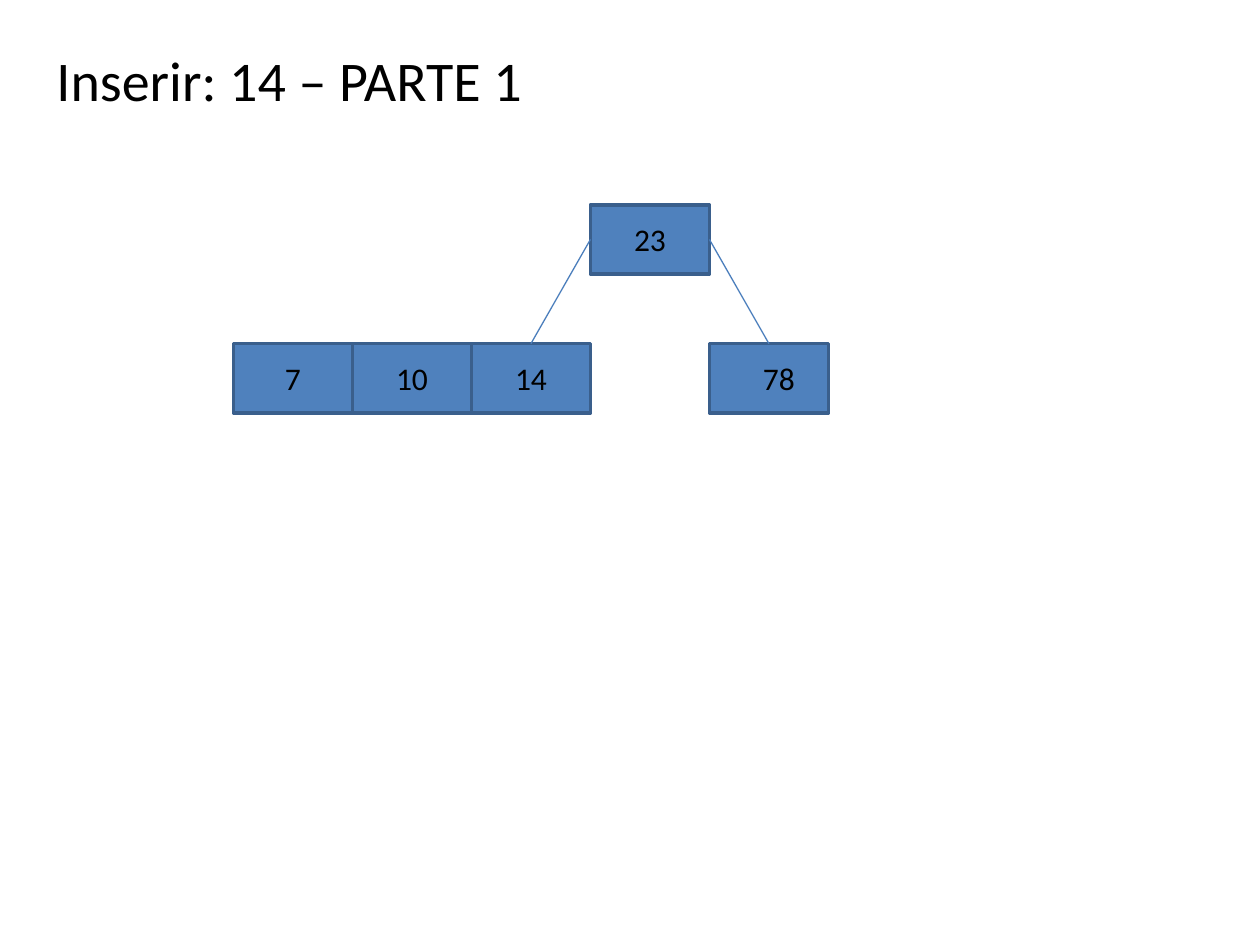
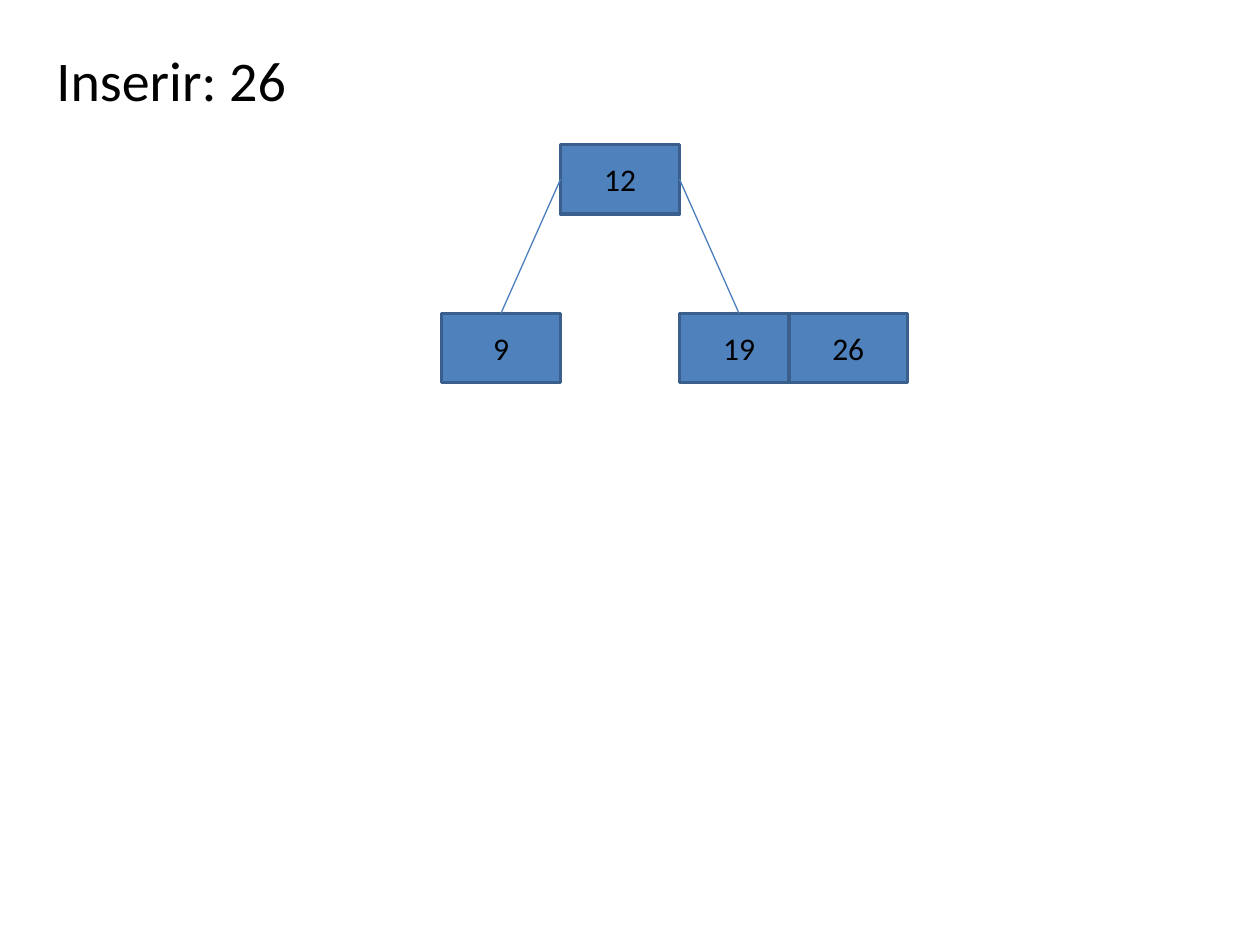
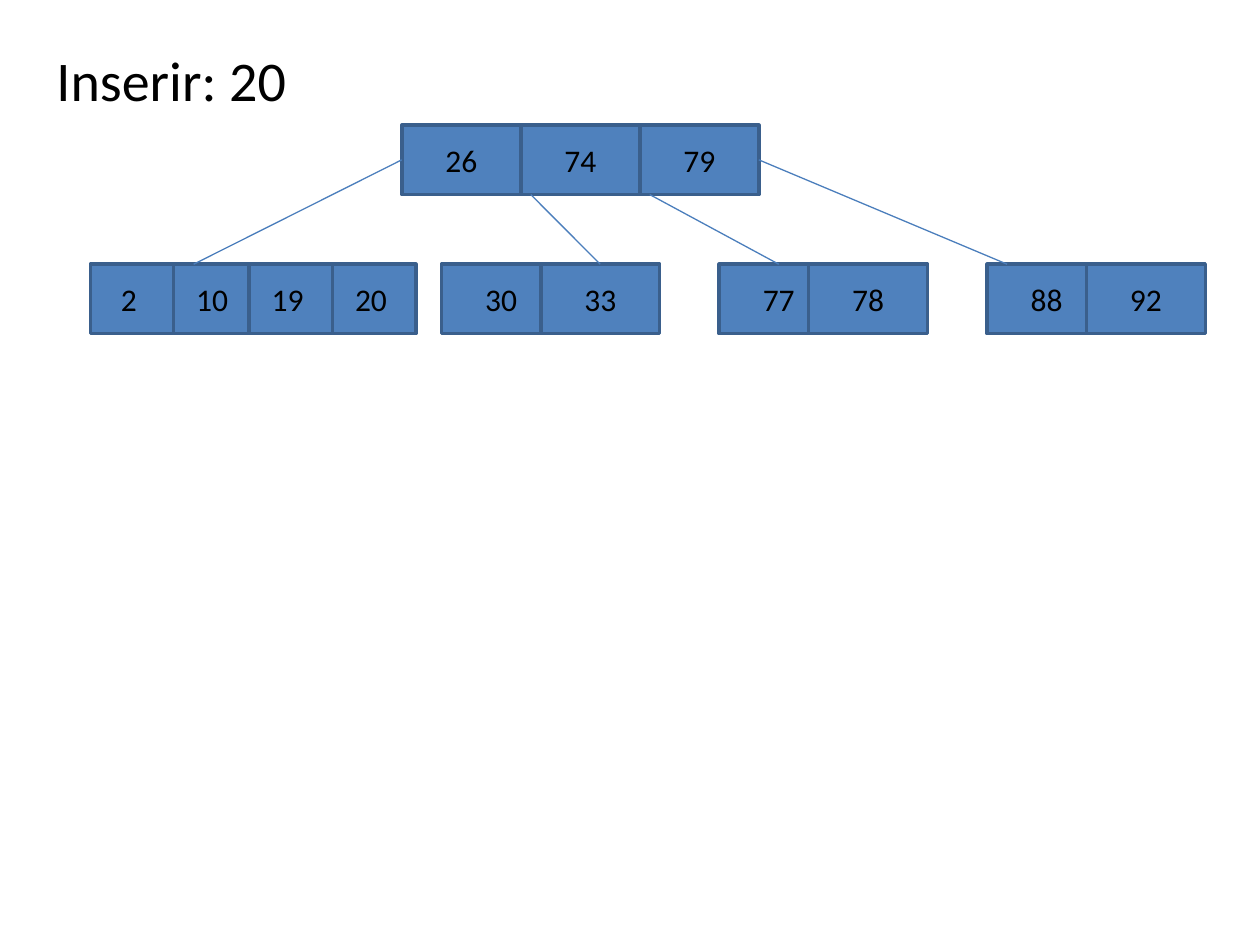
from pptx import Presentation
from pptx.dml.color import RGBColor
from pptx.enum.shapes import MSO_CONNECTOR as Connector, MSO_SHAPE as Shape
from pptx.enum.text import MSO_AUTO_SIZE as AutoSize, PP_ALIGN as Align
from pptx.oxml.ns import qn
from pptx.util import Pt

BLACK = RGBColor(0x00, 0x00, 0x00)
CELL_FILL = RGBColor(0x4F, 0x81, 0xBD)
CELL_BORDER = RGBColor(0x3A, 0x5F, 0x8C)
EDGE_COLOR = RGBColor(0x4B, 0x7E, 0xBC)

TITLE_FONT = {"name": "Calibri", "size": Pt(32)}
KEY_FONT = {"name": "Calibri", "size": Pt(18)}

CELL_WIDTH, CELL_HEIGHT = 68, 39.7
NARROW_WIDTH = 47.6
LABEL_TOP, LABEL_HEIGHT = 5.4, 29
WIDE_LABEL = (5.7, 56.7)
NARROW_LABEL = (2.2, 39.6)
EDGE_INSET = 11.5
TOP, LEFT, RIGHT = 0, 1, 3


def add_text(page, text, left, top, width, height, font, align=Align.LEFT):
    box = page.shapes.add_textbox(Pt(left), Pt(top), Pt(width), Pt(height))
    box.text_frame.word_wrap = True
    box.text_frame.auto_size = AutoSize.NONE
    para = box.text_frame.paragraphs[0]
    para.alignment = align
    span = para.add_run()
    span.text = text
    for name, value in font.items():
        setattr(span.font, name, value)
    span.font.color.rgb = BLACK


def add_page(deck, title):
    page = deck.slides.add_slide(deck.slide_layouts[6])
    add_text(page, title, 25.2, 22.4, 476, 51, TITLE_FONT)
    return page


def add_cell(page, key, left, top, width=CELL_WIDTH, label_shift=0):
    cell = page.shapes.add_shape(
        Shape.RECTANGLE, Pt(left), Pt(top), Pt(width), Pt(CELL_HEIGHT))
    cell.shadow.inherit = False
    cell.fill.solid()
    cell.fill.fore_color.rgb = CELL_FILL
    cell.line.color.rgb = CELL_BORDER
    cell.line.width = Pt(2)
    inset, label_width = NARROW_LABEL if width == NARROW_WIDTH else WIDE_LABEL
    add_text(page, str(key), left + inset + label_shift, top + LABEL_TOP,
             label_width, LABEL_HEIGHT, KEY_FONT, Align.CENTER)
    return cell


def add_node(page, keys, left, top, step=CELL_WIDTH):
    return [add_cell(page, key, left + index * step, top)
            for index, key in enumerate(keys)]


def add_edge(page, start, end, start_side=None, end_side=None):
    begin = (start.left + Pt(WIDE_LABEL[0]), start.top + start.height)
    finish = (end.left + Pt(EDGE_INSET), end.top)
    edge = page.shapes.add_connector(Connector.STRAIGHT, *begin, *finish)
    if start_side is not None:
        edge.begin_connect(start, start_side)
    if end_side is not None:
        edge.end_connect(end, end_side)
    edge.line.color.rgb = EDGE_COLOR
    edge.line.width = Pt(0.75)
    properties = edge._element.spPr
    properties.append(properties.makeelement(qn("a:effectLst"), {}))


def add_insert_14(deck):
    page = add_page(deck, "Inserir: 14 – PARTE 1")
    leaf_left, leaf_top = 133.4, 196.4
    leaf = add_node(page, (7, 10, 14), leaf_left, leaf_top)
    root = add_cell(page, 23, leaf_left + 3 * CELL_WIDTH, 117)
    right_leaf = add_cell(page, 78, leaf_left + 4 * CELL_WIDTH, leaf_top,
                          label_shift=WIDE_LABEL[0])
    add_edge(page, root, leaf[-1], LEFT, TOP)
    add_edge(page, root, right_leaf, RIGHT, TOP)


def add_insert_26(deck):
    page = add_page(deck, "Inserir: 26")
    left, leaf_top = 252.3, 179
    left_leaf = add_cell(page, 9, left, leaf_top)
    root = add_cell(page, 12, left + CELL_WIDTH, 82.6)
    right_leaf = add_node(page, (19, 26), left + 2 * CELL_WIDTH, leaf_top, 62.4)
    add_edge(page, root, left_leaf, LEFT, TOP)
    add_edge(page, root, right_leaf[0], RIGHT, TOP)


def add_insert_20(deck):
    page = add_page(deck, "Inserir: 20")
    leaf_top = 151
    root = add_node(page, (26, 74, 79), 229.6, 71.5)
    first_leaf = [add_cell(page, key, left, leaf_top, NARROW_WIDTH)
                  for key, left in ((2, 51.6), (10, 99.2), (19, 142.4), (20, 190))]
    second_leaf = add_node(page, (30, 33), 252.3, leaf_top, 56.7)
    third_leaf = add_node(page, (77, 78), 411, leaf_top, 51.1)
    fourth_leaf = add_node(page, (88, 92), 564, leaf_top, 56.8)
    add_edge(page, root[0], first_leaf[1], start_side=LEFT)
    add_edge(page, root[1], second_leaf[1], end_side=TOP)
    add_edge(page, root[2], third_leaf[0], end_side=TOP)
    add_edge(page, root[2], fourth_leaf[0], start_side=RIGHT)


def main():
    deck = Presentation()
    deck.slide_width, deck.slide_height = Pt(720), Pt(540)
    add_insert_14(deck)
    add_insert_26(deck)
    add_insert_20(deck)
    deck.save("out.pptx")


if __name__ == "__main__":
    main()
